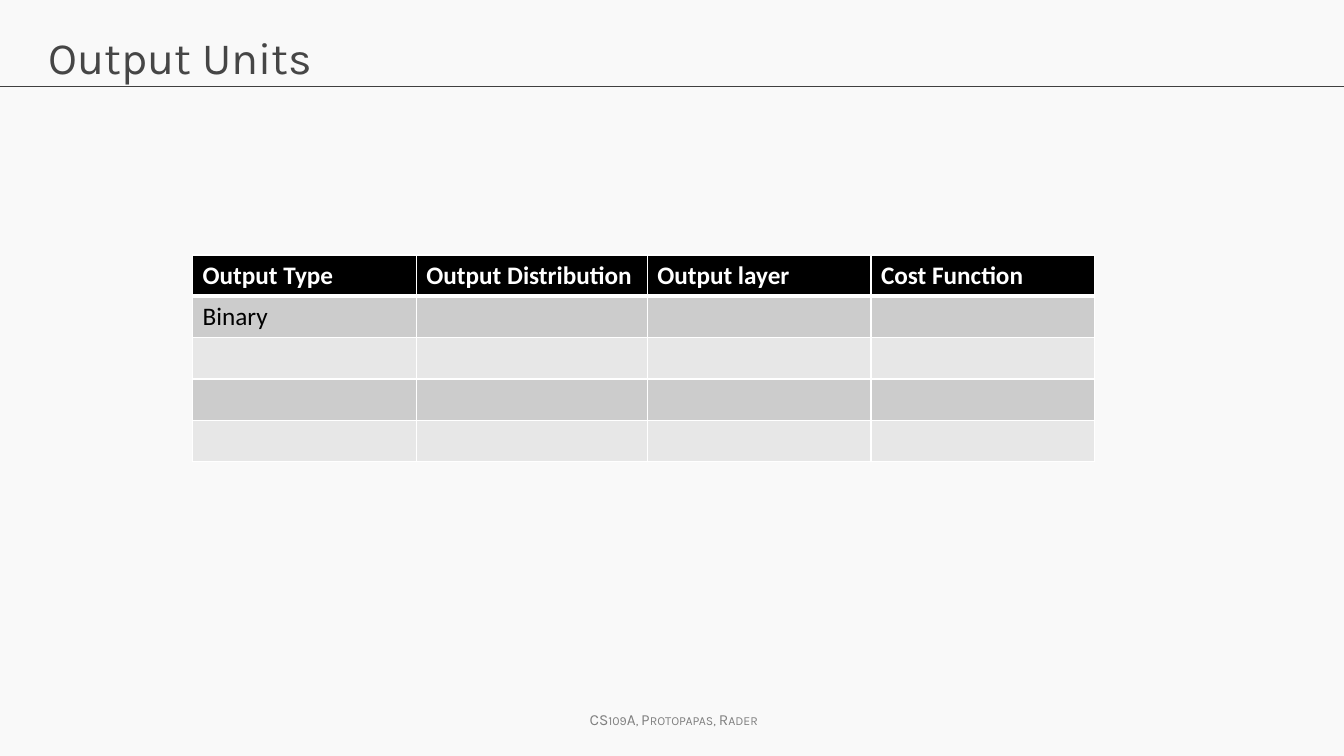
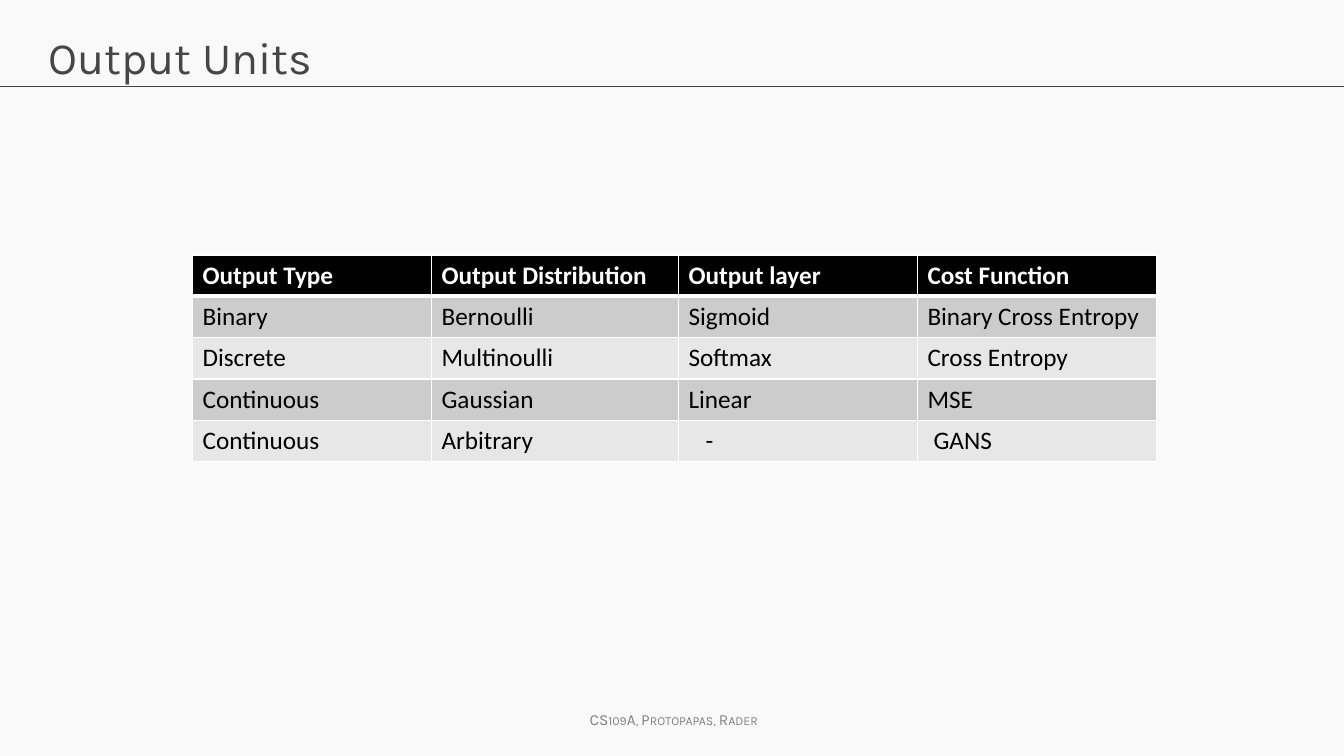
"""Build two slides on neural network output units, each with one table."""
from lxml.etree import SubElement
from pptx import Presentation
from pptx.dml.color import RGBColor
from pptx.enum.shapes import MSO_CONNECTOR
from pptx.enum.text import MSO_ANCHOR, MSO_AUTO_SIZE, PP_ALIGN
from pptx.oxml.ns import qn
from pptx.util import Inches, Pt

TITLE = "Output Units"
FOOTER = "CS109A, Protopapas, Rader"
HEADER = ("Output Type", "Output Distribution", "Output layer", "Cost Function")
TABLES = [
    {
        "widths": (2.22, 2.29, 2.22, 2.22),
        "rows": [HEADER, ("Binary", "", "", "")] + [("",) * 4] * 3,
        "indents": {},
    },
    {
        "widths": (2.37, 2.45, 2.37, 2.37),
        "rows": [
            HEADER,
            ("Binary", "Bernoulli", "Sigmoid", "Binary Cross Entropy"),
            ("Discrete", "Multinoulli", "Softmax", "Cross Entropy"),
            ("Continuous", "Gaussian", "Linear", "MSE"),
            ("Continuous", "Arbitrary", "-", "GANS"),
        ],
        "indents": {"-": 0.17, "GANS": 0.06},
    },
]

BACKGROUND = RGBColor(0xF9, 0xF9, 0xF9)
RULE = RGBColor(0x40, 0x40, 0x40)
TITLE_COLOR = RGBColor(0x46, 0x46, 0x46)
FOOTER_COLOR = RGBColor(0x80, 0x80, 0x80)
WHITE = RGBColor(0xFF, 0xFF, 0xFF)
BLACK = RGBColor(0x00, 0x00, 0x00)
BANDS = (RGBColor(0xE7, 0xE7, 0xE7), RGBColor(0xCC, 0xCC, 0xCC))

SLIDE_WIDTH, SLIDE_HEIGHT = 13.33, 7.5
RULE_TOP = 0.86
TABLE_LEFT, TABLE_TOP, ROW_HEIGHT = 1.91, 2.53, 0.41
CELL_MARGIN = 0.1


def style_text(paragraph, font_name, size, color, bold=False):
    for run in paragraph.runs:
        run.font.name = font_name
        run.font.size = Pt(size)
        run.font.color.rgb = color
        run.font.bold = bold


def add_frame(slide):
    """Add the rule, footer and title that every slide carries."""
    rule = slide.shapes.add_connector(
        MSO_CONNECTOR.STRAIGHT,
        Inches(0), Inches(RULE_TOP), Inches(SLIDE_WIDTH), Inches(RULE_TOP),
    )
    rule.line.color.rgb = RULE
    rule.line.width = Pt(0.75)
    SubElement(rule._element.spPr, qn("a:effectLst"))

    footer = slide.shapes.add_textbox(Inches(5.75), Inches(7), Inches(1.97), Inches(0.29))
    footer.text_frame.text = FOOTER
    footer.text_frame.word_wrap = False
    footer.text_frame.auto_size = MSO_AUTO_SIZE.SHAPE_TO_FIT_TEXT
    paragraph = footer.text_frame.paragraphs[0]
    style_text(paragraph, "Karla", 11, FOOTER_COLOR)
    paragraph.runs[0].font._element.set("cap", "small")

    title = slide.shapes.title
    title.left, title.top = Inches(0.38), Inches(0.24)
    title.width, title.height = Inches(12.57), Inches(0.84)
    title.text_frame.text = TITLE
    title.text_frame.vertical_anchor = MSO_ANCHOR.TOP
    paragraph = title.text_frame.paragraphs[0]
    paragraph.alignment = PP_ALIGN.LEFT
    style_text(paragraph, "Karla", 32, TITLE_COLOR)


def set_borders(cell, top, bottom):
    """Draw white cell borders; they must precede the fill in the XML."""
    properties = cell._tc.get_or_add_tcPr()
    for side, width in (("L", 1), ("R", 1), ("T", top), ("B", bottom)):
        line = SubElement(properties, qn(f"a:ln{side}"), w=str(Pt(width)))
        fill = SubElement(line, qn("a:solidFill"))
        SubElement(fill, qn("a:srgbClr"), val=str(WHITE))


def add_output_table(slide, widths, rows, indents):
    table = slide.shapes.add_table(
        len(rows), len(widths), Inches(TABLE_LEFT), Inches(TABLE_TOP),
        Inches(sum(widths)), Inches(ROW_HEIGHT * len(rows)),
    ).table
    for column, width in zip(table.columns, widths):
        column.width = Inches(width)
    for row_index, texts in enumerate(rows):
        table.rows[row_index].height = Inches(ROW_HEIGHT)
        is_header = row_index == 0
        for column_index, text in enumerate(texts):
            cell = table.cell(row_index, column_index)
            set_borders(cell, 3 if row_index == 1 else 1, 3 if is_header else 1)
            cell.fill.solid()
            cell.fill.fore_color.rgb = BLACK if is_header else BANDS[row_index % 2]
            cell.margin_left = Inches(CELL_MARGIN + indents.get(text, 0))
            if text:
                cell.text_frame.text = text
                color = WHITE if is_header else BLACK
                style_text(cell.text_frame.paragraphs[0], "Calibri", 18, color, is_header)


def main():
    presentation = Presentation()
    presentation.slide_width = Inches(SLIDE_WIDTH)
    presentation.slide_height = Inches(SLIDE_HEIGHT)
    background = presentation.slide_master.background.fill
    background.solid()
    background.fore_color.rgb = BACKGROUND
    title_only = presentation.slide_layouts.get_by_name("Title Only")
    for content in TABLES:
        slide = presentation.slides.add_slide(title_only)
        add_frame(slide)
        add_output_table(slide, **content)
    presentation.save("out.pptx")


if __name__ == "__main__":
    main()
